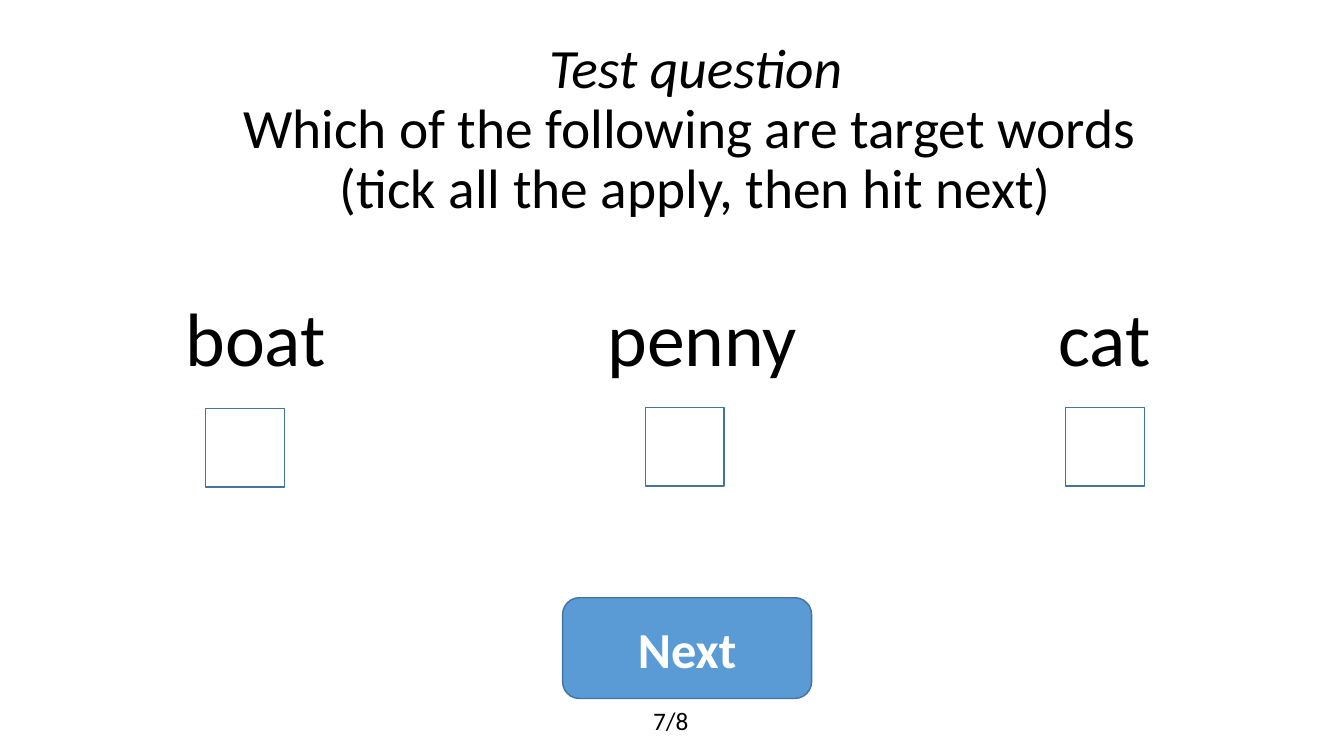
from pptx import Presentation
from pptx.dml.color import RGBColor
from pptx.enum.shapes import MSO_SHAPE
from pptx.enum.text import MSO_ANCHOR, PP_ALIGN
from pptx.util import Inches, Pt

BLACK, WHITE, BLUE, OUTLINE = "000000", "FFFFFF", "5B9BD5", "43739E"
CHOICES = [
    ("boat", 0.63, 3.81, 2.04, 4.05),
    ("penny", 5.16, 3.61, 6.4, 4.04),
    ("cat", 9.33, 3.25, 10.57, 4.04),
]
QUESTION = [
    ("Test question", True),
    ("Which of the following are target words ", False),
    ("(tick all the apply, then hit next)", False),
]


def rgb(value):
    return RGBColor.from_string(value)


def write(paragraph, words, color=BLACK, **formats):
    run = paragraph.add_run()
    run.text = words
    run.font.color.rgb = rgb(color)
    for name, value in {"name": "Calibri", **formats}.items():
        setattr(run.font, name, value)


def add_label(slide, box, align, anchor=MSO_ANCHOR.TOP):
    frame = slide.shapes.add_textbox(*map(Inches, box)).text_frame
    frame.word_wrap = True
    frame.vertical_anchor = anchor
    paragraph = frame.paragraphs[0]
    paragraph.alignment = align
    return paragraph


def add_outlined(slide, kind, box, fill=None):
    outlined = slide.shapes.add_shape(kind, *map(Inches, box))
    outlined.shadow.inherit = False
    if fill:
        outlined.fill.solid()
        outlined.fill.fore_color.rgb = rgb(fill)
    else:
        outlined.fill.background()
    outlined.line.color.rgb = rgb(OUTLINE)
    outlined.line.width = Pt(1)
    return outlined


def add_question(slide, box):
    heading = add_label(slide, box, PP_ALIGN.CENTER, MSO_ANCHOR.MIDDLE)
    heading.line_spacing = 0.9
    for index, (line, italic) in enumerate(QUESTION):
        if index:
            heading.add_line_break()
        write(heading, line, size=Pt(39.6), italic=italic)


def add_choice(slide, word, box, tick_left, tick_top):
    write(add_label(slide, box, PP_ALIGN.CENTER), word, size=Pt(54))
    add_outlined(slide, MSO_SHAPE.RECTANGLE, (tick_left, tick_top, 0.78, 0.78))


def add_navigation(slide, box):
    left, top, width, height = box
    button = add_outlined(slide, MSO_SHAPE.ROUNDED_RECTANGLE, box, BLUE)
    button.text_frame.vertical_anchor = MSO_ANCHOR.MIDDLE
    caption = button.text_frame.paragraphs[0]
    caption.alignment = PP_ALIGN.CENTER
    write(caption, "Next", WHITE, size=Pt(36), bold=True)
    progress = add_label(slide, (left + 0.8, top + height + 0.02, 1.01, 0.4), PP_ALIGN.LEFT)
    write(progress, "7/8", size=Pt(18))


def main():
    deck = Presentation()
    deck.slide_width, deck.slide_height = Inches(13.33), Inches(7.5)
    slide = deck.slides.add_slide(deck.slide_layouts[6])
    for word, left, width, tick_left, tick_top in CHOICES:
        add_choice(slide, word, (left, 2.84, width, 1.01), tick_left, tick_top)
    add_question(slide, (1.15, 0.57, 11.5, 1.45))
    add_navigation(slide, (5.58, 5.93, 2.47, 1))
    deck.save("out.pptx")


if __name__ == "__main__":
    main()
